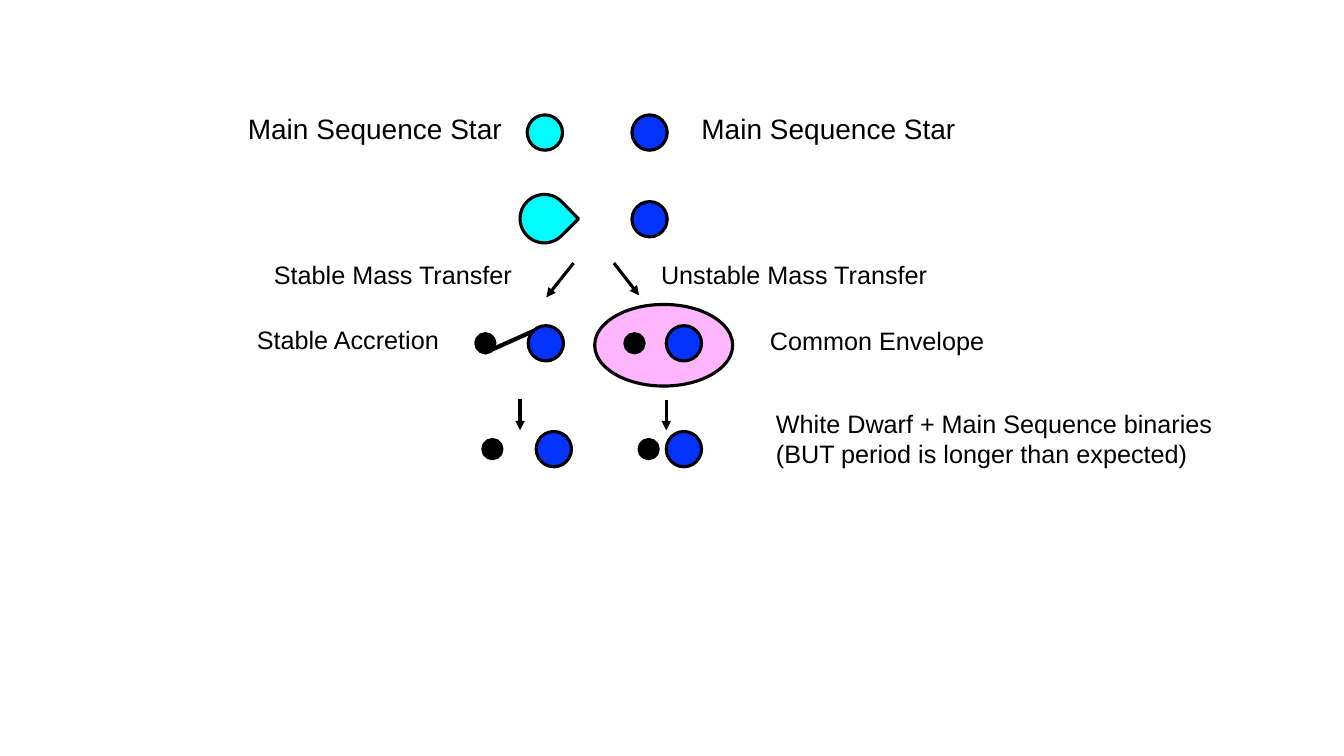
import pptx
import pptx.util
import pptx.dml.color
import pptx.enum.shapes
import pptx.oxml
import pptx.oxml.ns
from dataclasses import dataclass

Pt = pptx.util.Pt
RGB = pptx.dml.color.RGBColor.from_string
SHAPE = pptx.enum.shapes.MSO_SHAPE


@dataclass(frozen=True)
class Theme:
    ink: str = "000000"
    donor: str = "00FDFF"
    companion: str = "0432FF"
    envelope: str = "FFB6FE"
    font: str = "Arial"
    heading: float = 20
    label: float = 18
    outline: float = 2.25
    stream: float = 3


theme = Theme()
prs = pptx.Presentation()
prs.slide_width, prs.slide_height = Pt(960), Pt(540)
slide = prs.slides.add_slide(prs.slide_layouts[6])


def add_body(kind, cx, cy, width, height, color):
    sp = slide.shapes.add_shape(
        kind, Pt(cx - width / 2), Pt(cy - height / 2), Pt(width), Pt(height))
    sp.shadow.inherit = False
    sp.fill.solid()
    sp.fill.fore_color.rgb = RGB(color)
    sp.line.color.rgb = RGB(theme.ink)
    sp.line.width = Pt(theme.outline)
    return sp


def add_line(start, end, width, arrow):
    cn = slide.shapes.add_connector(
        pptx.enum.shapes.MSO_CONNECTOR.STRAIGHT, *map(Pt, start + end))
    cn.line.color.rgb = RGB(theme.ink)
    cn.line.width = Pt(width)
    if arrow:
        ln = cn.line._get_or_add_ln()
        ln.append(pptx.oxml.parse_xml(
            f'<a:tailEnd {pptx.oxml.ns.nsdecls("a")} type="triangle"/>'))
    cn._element.spPr.append(pptx.oxml.parse_xml(
        f'<a:effectLst {pptx.oxml.ns.nsdecls("a")}/>'))


row_initial, row_overflow, row_transfer, row_final = 94.7, 156.6, 245.2, 320.8
star, dwarf = 25.2, 13.7

add_body(SHAPE.OVAL, 474.1, 246.6, 98.6, 58.3, theme.envelope)
donor = add_body(SHAPE.TEAR, 388.8, 156.2, 34.6, 34.6, theme.donor)
donor.rotation = 45.4

for cx, cy, size, color in [
    (389.2, row_initial, star, theme.donor),
    (464, row_initial, star, theme.companion),
    (464, row_overflow, star, theme.companion),
    (346.7, row_transfer, dwarf, theme.ink),
    (389.9, row_transfer, star, theme.companion),
    (453.2, row_transfer, dwarf, theme.ink),
    (488.5, row_transfer, star, theme.companion),
    (351.7, row_final, dwarf, theme.ink),
    (395.6, row_final, star, theme.companion),
    (463.3, row_final, dwarf, theme.ink),
    (488.5, row_final, star, theme.companion),
]:
    add_body(SHAPE.OVAL, cx, cy, size, size, color)

for start, end in [
    ((409.7, 187.9), (390.2, 212.4)),
    ((438.5, 187.9), (456.5, 211)),
    ((371.5, 285.1), (371.5, 307.4)),
    ((475.9, 285.8), (475.9, 307.4)),
]:
    add_line(start, end, theme.outline, True)
add_line((381.6, 236.2), (346.3, 252), theme.stream, False)

for left, top, width, height, size, lines in [
    (169.9, 76.3, 324.7, 31.5, theme.heading, ["Main Sequence Star"]),
    (493.9, 76.3, 324.7, 31.5, theme.heading, ["Main Sequence Star"]),
    (188.6, 181.4, 200.9, 29.1, theme.label, ["Stable Mass Transfer"]),
    (465.1, 181.4, 224.6, 29.1, theme.label, ["Unstable Mass Transfer"]),
    (176.4, 228.2, 154.1, 29.1, theme.label, ["Stable Accretion"]),
    (542.9, 229, 275.8, 29.1, theme.label, ["Common Envelope"]),
    (547.2, 288, 385.9, 50.9, theme.label,
     ["White Dwarf + Main Sequence binaries",
      "(BUT period is longer than expected)"]),
]:
    tb = slide.shapes.add_textbox(Pt(left), Pt(top), Pt(width), Pt(height))
    tf = tb.text_frame
    tf.word_wrap = True
    tf.text = "\n".join(lines)
    for p in tf.paragraphs:
        p.font.name = theme.font
        p.font.size = Pt(size)
        p.font.color.rgb = RGB(theme.ink)

prs.save("out.pptx")
